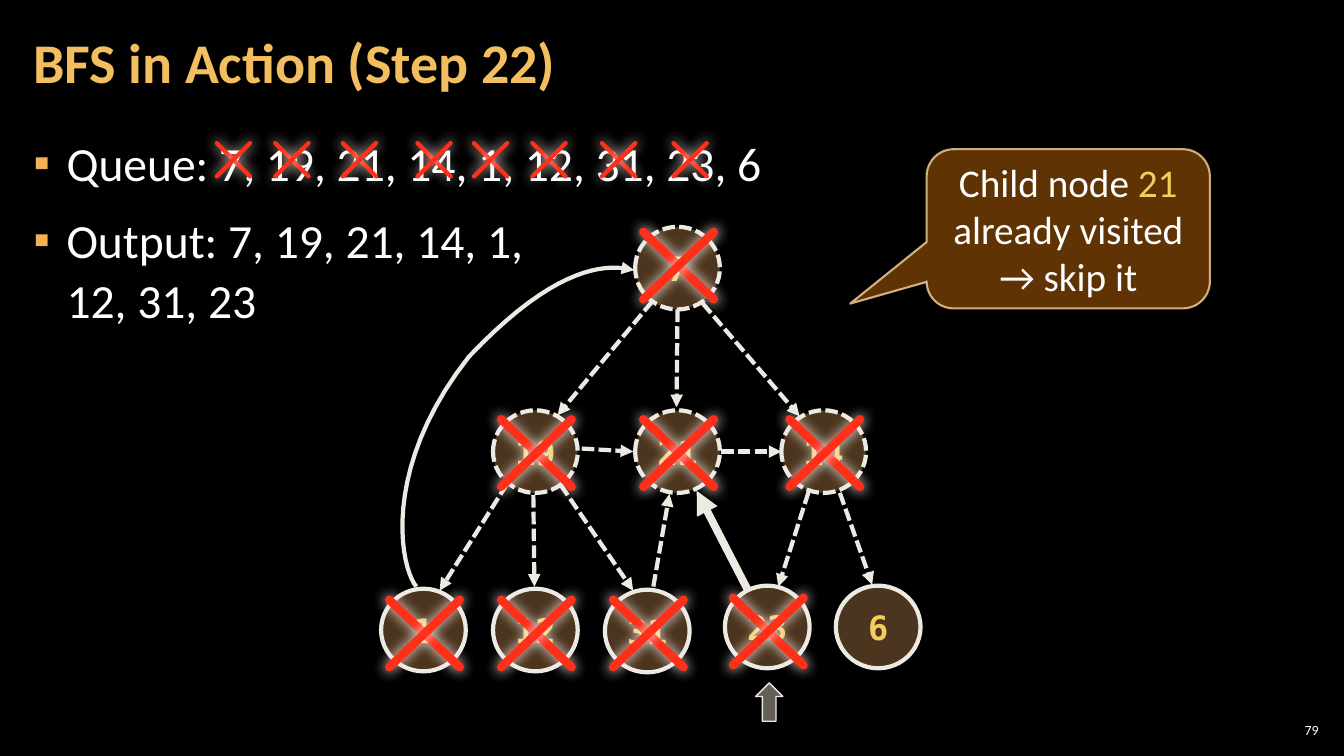
from lxml.etree import SubElement
from pptx import Presentation
from pptx.dml.color import RGBColor
from pptx.enum.dml import MSO_LINE
from pptx.enum.shapes import MSO_CONNECTOR, MSO_SHAPE
from pptx.enum.text import MSO_ANCHOR, MSO_AUTO_SIZE, PP_ALIGN
from pptx.oxml.ns import qn
from pptx.util import Inches, Pt

COLORS = {
    "background": "000000", "text": "FFFFFF", "title": "F3BE60",
    "bullet": "F2B254", "node": "6C4C2C", "label": "F3CD60",
    "edge": "ECEAE3", "cross": "FF2F19", "glow": "FFEDEB",
    "pointer": "C7BFAC", "callout": "663606", "callout_line": "F8D49E",
}
SANS, MONO = "Calibri", "DejaVu Sans Mono"
NODE_W, NODE_H = 0.84, 0.82
CROSS_W, CROSS_H = 0.7, 0.67

# label, left, top, dashed outline, top of its cross (None: not visited)
NODES = [
    ("7", 6.3, 2.25, True, 2.3),
    ("19", 4.89, 4.07, True, 4.16),
    ("21", 6.3, 4.07, True, 4.16),
    ("14", 7.75, 4.07, True, 4.16),
    ("1", 3.78, 5.84, False, 5.95),
    ("12", 4.89, 5.84, False, 5.95),
    ("31", 6, 5.85, False, 5.95),
    ("23", 7.19, 5.81, False, 5.93),
    ("6", 8.29, 5.81, False, None),
]
VISITED_EDGES = [
    ((6.47, 2.99), (5.53, 4.12)), ((6.72, 3.07), (6.71, 4.04)),
    ((6.97, 3.01), (7.93, 4.13)), ((5.03, 4.8), (4.36, 5.86)),
    ((5.29, 4.91), (5.3, 5.82)), ((5.56, 4.81), (6.28, 5.86)),
    ((8.02, 4.88), (7.72, 5.82)), ((8.33, 4.89), (8.65, 5.8)),
    ((5.77, 4.45), (6.28, 4.48)), ((7.15, 4.48), (7.75, 4.48)),
    ((6.48, 5.82), (6.64, 4.9)),
]
ACTIVE_EDGE = ((7.41, 5.84), (6.91, 4.87))
BACK_EDGE = [
    ((4.13, 5.82), (3.98, 5.65), (3.76, 4.67), (4.65, 3.54)),
    ((4.65, 3.54), (5.54, 2.6), (6.04, 2.62), (6.29, 2.68)),
]
DEQUEUED_LEFTS = [2.15, 2.73, 3.4, 4.14, 4.7, 5.28, 5.97, 6.68]


def rgb(name):
    return RGBColor.from_string(COLORS[name])


def bezier(points, t):
    """Return the point at t on a cubic curve, in EMU."""
    weights = ((1 - t) ** 3, 3 * t * (1 - t) ** 2, 3 * t * t * (1 - t), t ** 3)
    return tuple(Inches(sum(w * p[axis] for w, p in zip(weights, points))) for axis in (0, 1))


def set_alpha(fill_parent, percent):
    color = fill_parent.find(qn("a:solidFill"))[0]
    SubElement(color, qn("a:alpha"), val=str(percent * 1000))


class BfsSlide:
    def __init__(self, presentation):
        self.slide = presentation.slides.add_slide(presentation.slide_layouts[1])
        self.shapes = self.slide.shapes
        background = self.slide.background.fill
        background.solid()
        background.fore_color.rgb = rgb("background")

    def place(self, shape, left, top, width, height):
        shape.left, shape.top = Inches(left), Inches(top)
        shape.width, shape.height = Inches(width), Inches(height)

    def frame(self, shape, anchor, inset_x=0.1, inset_y=0.05, wrap=True):
        frame = shape.text_frame
        frame.auto_size = MSO_AUTO_SIZE.NONE
        frame.word_wrap = wrap
        frame.vertical_anchor = anchor
        frame.margin_left = frame.margin_right = Inches(inset_x)
        frame.margin_top = frame.margin_bottom = Inches(inset_y)
        return frame

    def run(self, paragraph, text, size, color="text", font=SANS, bold=False):
        run = paragraph.add_run()
        run.text = text
        run.font.size, run.font.name, run.font.bold = Pt(size), font, bold
        run.font.color.rgb = rgb(color)

    def stroke(self, shape, color, width, dashed=False, arrow=False, rounded=False):
        shape.line.color.rgb = rgb(color)
        shape.line.width = Pt(width)
        if dashed:
            shape.line.dash_style = MSO_LINE.SQUARE_DOT
        outline = shape._element.spPr.find(qn("a:ln"))
        if rounded:
            outline.set("cap", "rnd")
        if arrow:
            SubElement(outline, qn("a:tailEnd"), type="triangle")

    def title(self, text):
        title = self.shapes.title
        self.place(title, 0.21, 0.04, 10.47, 1.21)
        paragraph = self.frame(title, MSO_ANCHOR.MIDDLE, 0.12, 0.04).paragraphs[0]
        paragraph.alignment = PP_ALIGN.LEFT
        paragraph.line_spacing = 0.9
        self.run(paragraph, text, 40, "title", bold=True)

    def bullets(self, items):
        """Fill the body; each item is a list of lines."""
        body = self.slide.placeholders[1]
        self.place(body, 0.21, 1.26, 12.91, 6.09)
        frame = self.frame(body, MSO_ANCHOR.TOP, 0.12, 0.04)
        for index, lines in enumerate(items):
            paragraph = frame.add_paragraph() if index else frame.paragraphs[0]
            paragraph.line_spacing = 1.05
            paragraph.space_before = Pt(6 if index else 0)
            paragraph.space_after = Pt(6)
            props = paragraph._p.get_or_add_pPr()
            props.set("marL", str(Inches(0.33)))
            props.set("indent", str(-Inches(0.33)))
            SubElement(SubElement(props, qn("a:buClr")), qn("a:srgbClr"), val=COLORS["bullet"])
            SubElement(props, qn("a:buFont"), typeface="Arial")
            SubElement(props, qn("a:buChar"), char="▪")
            for number, line in enumerate(lines):
                if number:
                    paragraph.add_line_break()
                self.run(paragraph, line, 34)

    def page_number(self, text):
        box = self.shapes.add_textbox(Inches(12.65), Inches(7.14), Inches(0.47), Inches(0.21))
        paragraph = self.frame(box, MSO_ANCHOR.MIDDLE, 0.04, 0.04).paragraphs[0]
        paragraph.alignment = PP_ALIGN.RIGHT
        self.run(paragraph, text, 10)

    def preset(self, kind, box, color, alpha):
        shape = self.shapes.add_shape(kind, *map(Inches, box))
        shape.shadow.inherit = False
        shape.fill.solid()
        shape.fill.fore_color.rgb = rgb(color)
        set_alpha(shape._element.spPr, alpha)
        return shape

    def node(self, label, left, top, dashed):
        node = self.preset(MSO_SHAPE.OVAL, (left, top, NODE_W, NODE_H), "node", 70)
        self.stroke(node, "edge", 3, dashed)
        paragraph = self.frame(node, MSO_ANCHOR.MIDDLE, wrap=False).paragraphs[0]
        paragraph.alignment = PP_ALIGN.CENTER
        self.run(paragraph, label, 24, "label", MONO, True)

    def line(self, shapes, start, end, color, width, **style):
        """Draw a straight line and return its empty effect list."""
        line = shapes.add_connector(MSO_CONNECTOR.STRAIGHT, *map(Inches, start + end))
        self.stroke(line, color, width, **style)
        return SubElement(line._element.spPr, qn("a:effectLst"))

    def cross(self, left, top, width, height, weight):
        group = self.shapes.add_group_shape()
        right, bottom = left + width, top + height
        for start, end in (((left, top), (right, bottom)), ((right, top), (left, bottom))):
            effects = self.line(group.shapes, start, end, "cross", weight, rounded=True)
            glow = SubElement(effects, qn("a:outerShdw"), blurRad=str(Pt(10)), dist="0",
                              dir="5400000", algn="ctr", rotWithShape="0")
            SubElement(glow, qn("a:srgbClr"), val=COLORS["glow"])

    def edge(self, start, end, width=3, dashed=True):
        self.line(self.shapes, start, end, "edge", width, dashed=dashed, arrow=True)

    def curved_edge(self, curves, steps=20):
        points = [bezier(curve, i / steps) for curve in curves for i in range(1, steps + 1)]
        builder = self.shapes.build_freeform(*bezier(curves[0], 0))
        builder.add_line_segments(points, close=False)
        curve = builder.convert_to_shape()
        curve.shadow.inherit = False
        curve.fill.background()
        self.stroke(curve, "edge", 3, arrow=True)

    def pointer(self):
        pointer = self.preset(MSO_SHAPE.RIGHT_ARROW, (7.44, 6.83, 0.38, 0.27), "pointer", 50)
        pointer.rotation = 270
        self.stroke(pointer, "edge", 1)

    def callout(self, parts):
        callout = self.preset(MSO_SHAPE.ROUNDED_RECTANGULAR_CALLOUT,
                              (9.19, 1.48, 2.81, 1.58), "callout", 95)
        for index, value in enumerate((-0.77, 0.47, 0.17)):
            callout.adjustments[index] = value
        self.stroke(callout, "callout_line", 1.5)
        set_alpha(callout._element.spPr.find(qn("a:ln")), 80)
        paragraph = self.frame(callout, MSO_ANCHOR.MIDDLE).paragraphs[0]
        paragraph.alignment = PP_ALIGN.CENTER
        for text, color in parts:
            self.run(paragraph, text, 28, color)


def main():
    presentation = Presentation()
    presentation.slide_width, presentation.slide_height = Inches(13.33), Inches(7.5)
    bfs = BfsSlide(presentation)
    bfs.page_number("79")
    bfs.title("BFS in Action (Step 22)")
    bfs.bullets([["Queue: 7, 19, 21, 14, 1, 12, 31, 23, 6"],
                 ["Output: 7, 19, 21, 14, 1,", "12, 31, 23"]])
    for left in DEQUEUED_LEFTS:
        bfs.cross(left, 1.42, 0.33, 0.33, 3)
    bfs.pointer()
    for label, left, top, dashed, _ in NODES:
        bfs.node(label, left, top, dashed)
    for start, end in VISITED_EDGES:
        bfs.edge(start, end)
    for _, left, _, _, cross_top in NODES:
        if cross_top is not None:
            bfs.cross(left + 0.08, cross_top, CROSS_W, CROSS_H, 6)
    bfs.curved_edge(BACK_EDGE)
    bfs.edge(*ACTIVE_EDGE, width=5.5, dashed=False)
    bfs.callout([("Child node ", "text"), ("21 ", "label"),
                 ("already visited → skip it", "text")])
    presentation.save("out.pptx")


if __name__ == "__main__":
    main()
